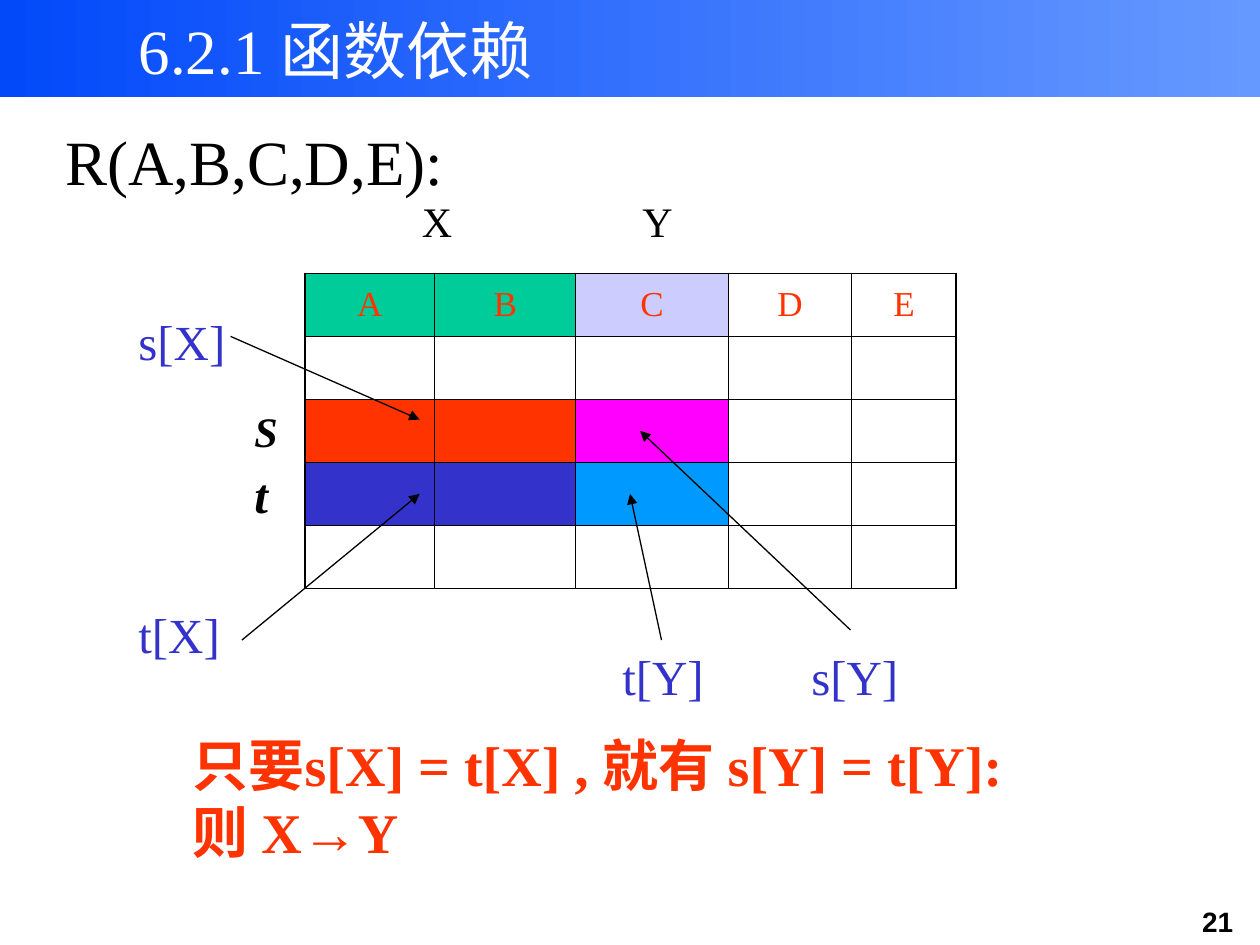
from lxml.etree import SubElement
from pptx import Presentation
from pptx.dml.color import RGBColor
from pptx.enum.shapes import MSO_CONNECTOR, MSO_SHAPE
from pptx.enum.text import MSO_ANCHOR, MSO_AUTO_SIZE, PP_ALIGN
from pptx.oxml import parse_xml
from pptx.oxml.ns import nsdecls, qn
from pptx.util import Inches, Pt

BLACK = RGBColor(0x00, 0x00, 0x00)
WHITE = RGBColor(0xFF, 0xFF, 0xFF)
BAR_START = RGBColor(0x02, 0x49, 0xFA)
BAR_END = RGBColor(0x66, 0x99, 0xFF)
GREEN = RGBColor(0x00, 0xCC, 0x99)
LAVENDER = RGBColor(0xCC, 0xCC, 0xFF)
RED = RGBColor(0xFF, 0x33, 0x00)
MAGENTA = RGBColor(0xFF, 0x00, 0xFF)
INDIGO = RGBColor(0x33, 0x33, 0xCC)
SKY = RGBColor(0x00, 0x99, 0xFF)
SERIF, SANS = "Times New Roman", "Arial"

TITLE = "6.2.1 函数依赖"
ATTRIBUTES = ["A", "B", "C", "D", "E"]
COLUMN_WIDTHS = [1.03, 1.12, 1.21, 0.98, 0.83]
ROW_COUNT, ROW_HEIGHT = 5, 0.5
ROW_FILLS = {
    0: [GREEN, GREEN, LAVENDER],
    2: [RED, RED, MAGENTA],
    3: [INDIGO, INDIGO, SKY],
}
# text, (left, top, width, height), size, colour, bold, italic
LABELS = [
    ("R(A,B,C,D,E):", (0.42, 0.92, 3.22, 0.7), 36, BLACK, False, False),
    ("X", (3.25, 1.5, 0.45, 0.5), 24, BLACK, False, False),
    ("Y", (5, 1.5, 0.45, 0.5), 24, BLACK, False, False),
    ("t[Y]", (4.84, 5.08, 0.88, 0.57), 28, INDIGO, False, False),
    ("t[X]", (1, 4.75, 0.88, 0.57), 28, INDIGO, False, False),
    ("s[X]", (1, 2.42, 0.92, 0.57), 28, INDIGO, False, False),
    ("s[Y]", (6.34, 5.08, 0.92, 0.57), 28, INDIGO, False, False),
    ("S", (1.92, 3.17, 0.39, 0.5), 24, BLACK, True, True),
    ("t", (1.92, 3.64, 0.32, 0.57), 28, BLACK, True, True),
]
ARROWS = [
    ((1.83, 2.67), (3.33, 3.33)),
    ((1.92, 5.08), (3.33, 3.92)),
    ((5.25, 5.08), (5, 3.92)),
    ((6.75, 5), (5.08, 3.42)),
]
CONCLUSION = [
    [("只要s[X] = t[X] , 就有 s[Y] = t[Y]:", SERIF)],
    [("则 X", SERIF), ("→", SANS), ("Y", SERIF)],
]


def add_run(paragraph, text, size, color, font=SERIF, bold=False, italic=False):
    run = paragraph.add_run()
    run.text = text
    run.font.name, run.font.size = font, Pt(size)
    run.font.bold, run.font.italic = bold, italic
    run.font.color.rgb = color


def add_frame(slide, place, wrap=False):
    frame = slide.shapes.add_textbox(*map(Inches, place)).text_frame
    frame.word_wrap = wrap
    frame.auto_size = MSO_AUTO_SIZE.SHAPE_TO_FIT_TEXT
    return frame


def add_title_bar(slide):
    bar = slide.shapes.add_shape(MSO_SHAPE.RECTANGLE, 0, 0, Inches(10), Inches(0.77))
    bar.shadow.inherit = False
    bar.line.fill.background()
    bar.fill.gradient()
    bar.fill.gradient_angle = 0
    for stop, color, position in zip(bar.fill.gradient_stops, (BAR_START, BAR_END), (0, 1)):
        stop.color.rgb = color
        stop.position = position
    slide.shapes._spTree.insert(2, bar._element)  # behind the title


def set_title(slide):
    title = slide.shapes.title
    title.left, title.top, title.width, title.height = map(Inches, (1, 0.1, 6.58, 0.58))
    frame = title.text_frame
    frame.auto_size = MSO_AUTO_SIZE.NONE
    frame.vertical_anchor = MSO_ANCHOR.MIDDLE
    frame.paragraphs[0].alignment = PP_ALIGN.LEFT
    add_run(frame.paragraphs[0], TITLE, 36, WHITE)


def set_borders(cell, outer_sides):
    """Draw all four sides of a cell, thicker on the table's outer edge."""
    for index, side in enumerate("LRTB"):
        width = Pt(1.08 if side in outer_sides else 0.45)
        border = parse_xml(
            f'<a:ln{side} {nsdecls("a")} w="{width}"><a:solidFill>'
            f'<a:srgbClr val="{BLACK}"/></a:solidFill></a:ln{side}>')
        cell._tc.get_or_add_tcPr().insert(index, border)


def add_relation(slide):
    column_count = len(COLUMN_WIDTHS)
    table = slide.shapes.add_table(
        ROW_COUNT, column_count, Inches(2.42), Inches(2.17),
        Inches(sum(COLUMN_WIDTHS)), Inches(ROW_COUNT * ROW_HEIGHT)).table
    table.first_row = table.horz_banding = False
    for column, width in zip(table.columns, COLUMN_WIDTHS):
        column.width = Inches(width)
    for r in range(ROW_COUNT):
        table.rows[r].height = Inches(ROW_HEIGHT)
        fills = ROW_FILLS.get(r, [])
        for c in range(column_count):
            cell = table.cell(r, c)
            if c < len(fills):
                cell.fill.solid()
                cell.fill.fore_color.rgb = fills[c]
            else:
                cell.fill.background()
            edges = {"L": c == 0, "R": c == column_count - 1,
                     "T": r == 0, "B": r == ROW_COUNT - 1}
            set_borders(cell, [side for side, outer in edges.items() if outer])
    for c, attribute in enumerate(ATTRIBUTES):
        cell = table.cell(0, c)
        cell.vertical_anchor = MSO_ANCHOR.MIDDLE
        paragraph = cell.text_frame.paragraphs[0]
        paragraph.alignment = PP_ALIGN.CENTER
        add_run(paragraph, attribute, 20, RED)


def add_arrow(slide, start, end):
    arrow = slide.shapes.add_connector(MSO_CONNECTOR.STRAIGHT, *map(Inches, start + end))
    arrow.line.color.rgb = BLACK
    arrow.line.width = Pt(0.75)
    SubElement(arrow.line._get_or_add_ln(), qn("a:tailEnd"), type="triangle")
    SubElement(arrow._element.spPr, qn("a:effectLst"))


def main():
    deck = Presentation()
    deck.slide_width, deck.slide_height = Inches(10), Inches(7.5)
    slide = deck.slides.add_slide(deck.slide_layouts[5])
    add_title_bar(slide)
    set_title(slide)

    page_number = add_frame(slide, (9.33, 7.13, 0.67, 0.37), wrap=True).paragraphs[0]
    page_number.alignment = PP_ALIGN.CENTER
    add_run(page_number, "21", 16, BLACK, SANS, bold=True)

    add_relation(slide)
    for text, place, size, color, bold, italic in LABELS:
        label = add_frame(slide, place).paragraphs[0]
        add_run(label, text, size, color, bold=bold, italic=italic)
    for start, end in ARROWS:
        add_arrow(slide, start, end)

    conclusion = add_frame(slide, (1.43, 5.75, 6.97, 1.17))
    for index, runs in enumerate(CONCLUSION):
        paragraph = conclusion.add_paragraph() if index else conclusion.paragraphs[0]
        for text, font in runs:
            add_run(paragraph, text, 32, RED, font, bold=True)
    deck.save("out.pptx")


if __name__ == "__main__":
    main()
